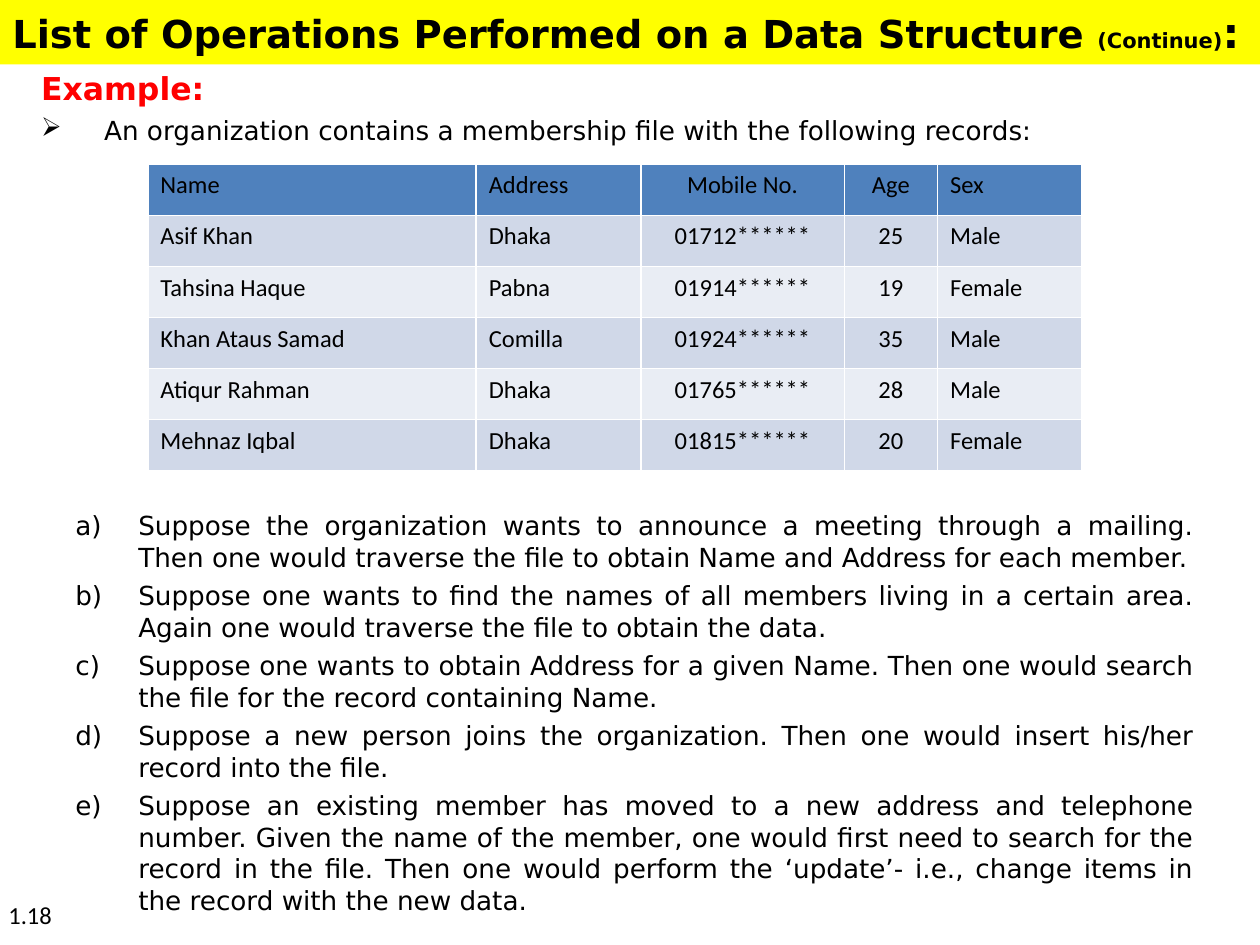
from lxml import etree
from pptx import Presentation
from pptx import util as u
from pptx.dml.color import RGBColor
from pptx.enum import shapes, text
from pptx.oxml.ns import qn

Cm, Pt = u.Cm, u.Pt
ALIGN = text.PP_ALIGN
BODY, PLAIN = "DejaVu Sans", "Calibri"

ROWS = [
    ("Name", "Address", "Mobile No.", "Age", "Sex"),
    ("Asif Khan", "Dhaka", "01712******", "25", "Male"),
    ("Tahsina Haque", "Pabna", "01914******", "19", "Female"),
    ("Khan Ataus Samad", "Comilla", "01924******", "35", "Male"),
    ("Atiqur Rahman", "Dhaka", "01765******", "28", "Male"),
    ("Mehnaz Iqbal", "Dhaka", "01815******", "20", "Female"),
]
WIDTHS = [6.62, 3.32, 4.1, 1.88, 2.91]
TASKS = [
    "Suppose the organization wants to announce a meeting through a mailing. "
    "Then one would traverse the file to obtain Name and Address for each member.",
    "Suppose one wants to find the names of all members living in a certain area. "
    "Again one would traverse the file to obtain the data.",
    "Suppose one wants to obtain Address for a given Name. "
    "Then one would search the file for the record containing Name.",
    "Suppose a new person joins the organization. "
    "Then one would insert his/her record into the file.",
    "Suppose an existing member has moved to a new address and telephone number. "
    "Given the name of the member, one would first need to search for the record "
    "in the file. Then one would perform the ‘update’- i.e., change items in the "
    "record with the new data.",
]


def color(code):
    return RGBColor.from_string(code)


class Page:
    def __init__(self, slide):
        self.slide = slide
        self.ink = "000000"

    def font(self, para, size, name=BODY, ink=None, bold=False):
        font = para.font
        font.size, font.name, font.bold = Pt(size), name, bold
        font.color.rgb = color(ink or self.ink)

    def hang(self, para, kind=None, **attrs):
        """Justify with a hanging indent and an optional bullet element."""
        para.alignment = ALIGN.JUSTIFY
        para.space_before = para.space_after = Pt(2)
        props = para._p.get_or_add_pPr()
        props.set("marL", str(Cm(1.27)))
        props.set("indent", str(-Cm(1.27)))
        if kind:
            etree.SubElement(props, qn(kind), **attrs)

    def box(self, left, top, width, height, middle=False):
        frame = self.slide.shapes.add_textbox(
            Cm(left), Cm(top), Cm(width), Cm(height)).text_frame
        frame.word_wrap = True
        if middle:
            frame.vertical_anchor = text.MSO_ANCHOR.MIDDLE
        return frame

    def title(self, parts):
        bar = self.slide.shapes.add_shape(
            shapes.MSO_SHAPE.RECTANGLE, 0, 0, Cm(25.4), Cm(1.3))
        bar.shadow.inherit = False
        bar.fill.solid()
        bar.fill.fore_color.rgb = color("FFFF00")
        bar.line.fill.background()
        bar.text_frame.vertical_anchor = text.MSO_ANCHOR.TOP
        para = bar.text_frame.paragraphs[0]
        para.alignment = ALIGN.LEFT
        self.font(para, 22, bold=True)
        for words, size in parts:
            run = para.add_run()
            run.text = words
            run.font.size = Pt(size)
            run.font.color.rgb = color(self.ink)

    def intro(self, head, line):
        frame = self.box(0.58, 1.27, 24.13, 1.8, middle=True)
        first, second = frame.paragraphs[0], frame.add_paragraph()
        first.text, second.text = head, line
        self.hang(first)
        first.space_before = Pt(0)
        self.font(first, 18, ink="FF0000", bold=True)
        self.hang(second, "a:buChar", char="➢")
        self.font(second, 15)

    def table(self, rows, widths, left, top, high):
        grid = self.slide.shapes.add_table(
            len(rows), len(widths), Cm(left), Cm(top),
            Cm(sum(widths)), Cm(high * len(rows))).table
        for col, width in zip(grid.columns, widths):
            col.width = Cm(width)
        for r, row in enumerate(rows):
            fill = "4F81BD" if r == 0 else ("E9EDF4", "D0D8E8")[r % 2]
            for c, words in enumerate(row):
                cell = grid.cell(r, c)
                cell.fill.solid()
                cell.fill.fore_color.rgb = color(fill)
                cell.text = words
                para = cell.text_frame.paragraphs[0]
                para.alignment = ALIGN.CENTER if c in (2, 3) else ALIGN.LEFT
                self.font(para, 14, PLAIN)

    def tasks(self, lines):
        frame = self.box(1.27, 10.11, 23.06, 8.51, middle=True)
        for i, line in enumerate(lines):
            para = frame.add_paragraph() if i else frame.paragraphs[0]
            para.text = line
            self.hang(para, "a:buAutoNum", type="alphaLcParenR")
            if i == 0:
                para.space_before = Pt(0)
            self.font(para, 15)

    def number(self, label):
        para = self.box(-0.08, 18.01, 2.08, 1.04).paragraphs[0]
        para.text = label
        self.font(para, 14, PLAIN)


def main():
    deck = Presentation()
    deck.slide_width, deck.slide_height = Cm(25.4), Cm(19.05)
    page = Page(deck.slides.add_slide(deck.slide_layouts[6]))
    page.intro("Example:", "An organization contains a membership file "
               "with the following records:")
    page.title([("List of Operations Performed on a Data Structure ", 22),
                ("(Continue)", 12), (":", 24)])
    page.table(ROWS, WIDTHS, 2.98, 3.31, 1.03)
    page.tasks(TASKS)
    page.number("1.18")
    deck.save("out.pptx")


if __name__ == "__main__":
    main()
